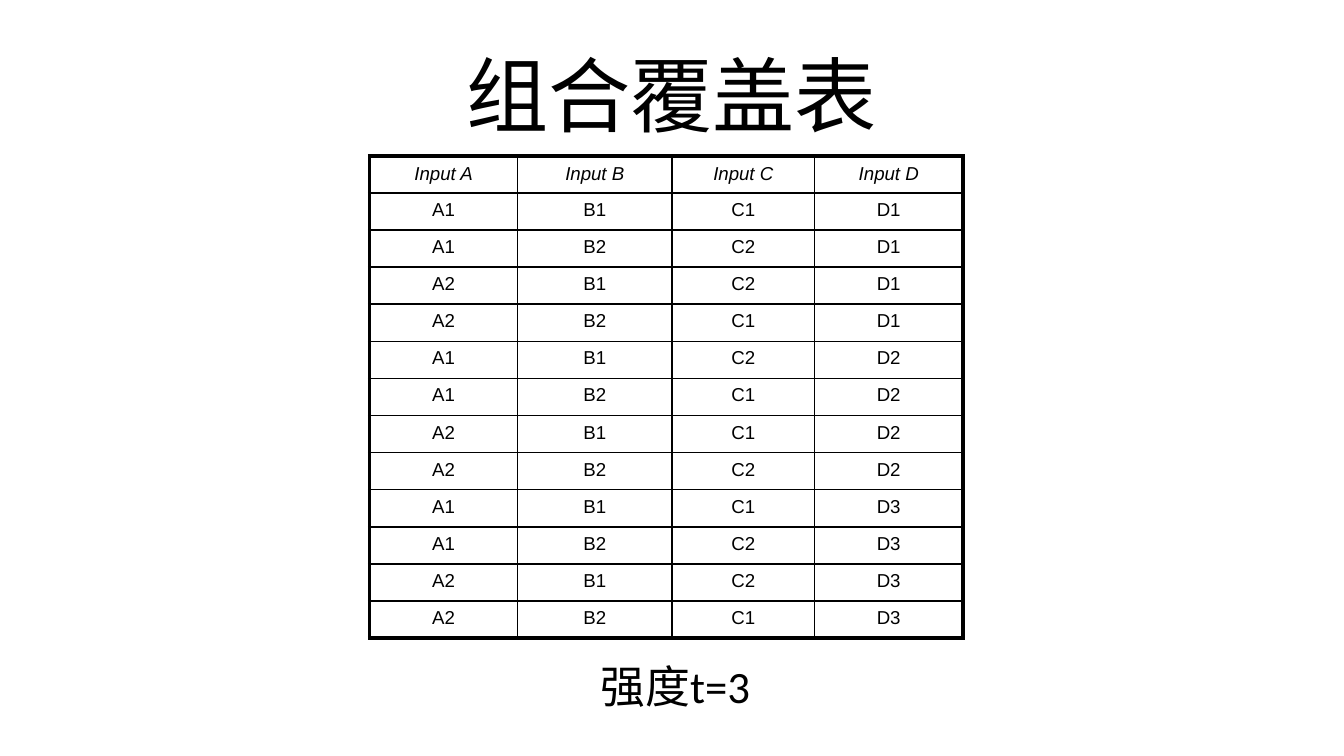
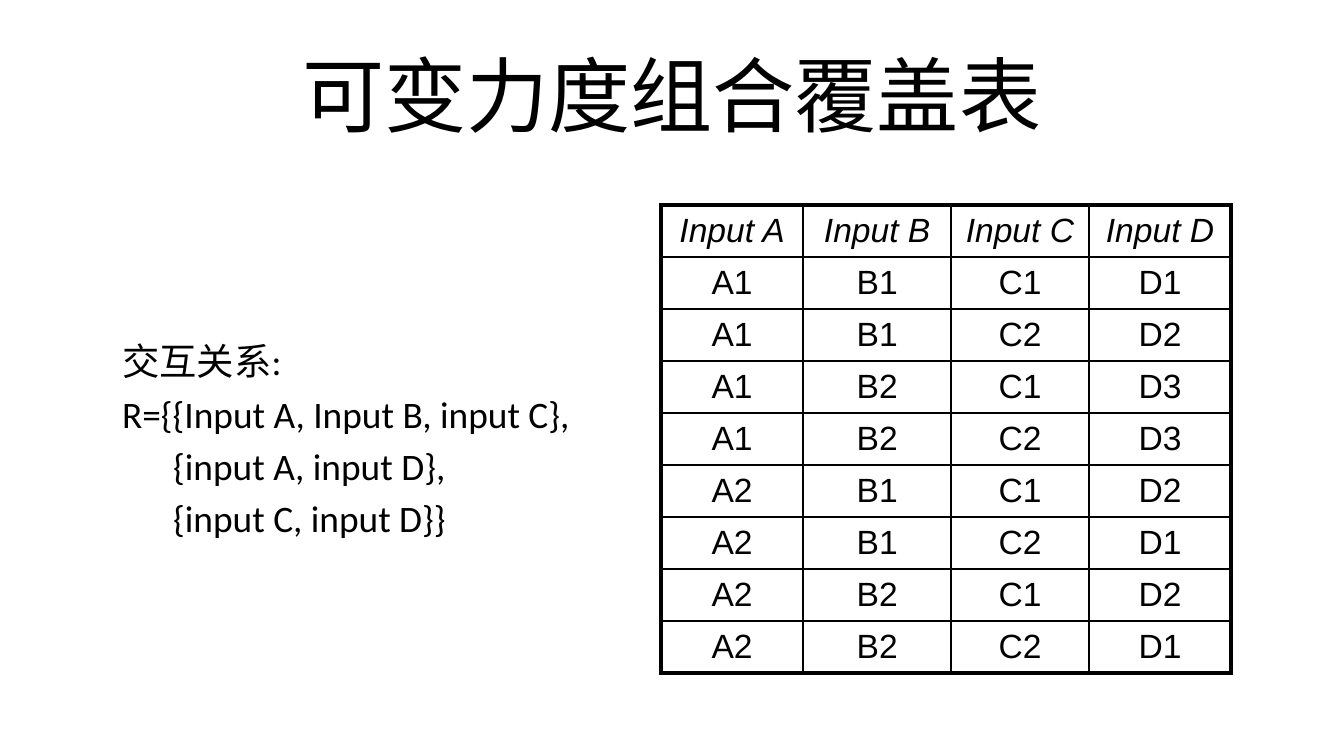
from dataclasses import dataclass

from lxml.etree import SubElement as Sub
from pptx import Presentation
from pptx.dml.color import RGBColor as Rgb
from pptx.enum.text import MSO_ANCHOR as Anchor, MSO_AUTO_SIZE as Fit, PP_ALIGN as Align
from pptx.oxml.ns import qn
from pptx.util import Inches, Pt


@dataclass(frozen=True)
class Theme:
    ink: str = "000000"
    paper: str = "FFFFFF"
    text: str = "Calibri"
    grid: str = "Arial"
    title: int = 44
    note: int = 24
    body: int = 20
    large: int = 18
    small: int = 10
    frame: float = 2.25
    rule: float = 1


class Deck:
    """Places elements on a grid of square units, 100 to the slide's width."""

    def __init__(self, theme):
        self.theme = theme
        self.prs = Presentation()
        self.prs.slide_width = Inches(10)
        self.prs.slide_height = self.prs.slide_width * 9 // 16
        self.unit = self.prs.slide_width / 100

    def span(self, units):
        return round(units * self.unit)

    def add_run(self, para, text, size, font, slant=False):
        run = para.add_run()
        run.text = text
        run.font.size = Pt(size)
        run.font.name = font
        run.font.italic = slant
        run.font.color.rgb = Rgb.from_string(self.theme.ink)

    def page(self, title):
        look = self.theme
        self.slide = self.prs.slides.add_slide(self.prs.slide_layouts[5])
        fill = self.slide.background.fill
        fill.solid()
        fill.fore_color.rgb = Rgb.from_string(look.paper)
        head = self.slide.shapes.title
        head.left, head.top, head.width, head.height = map(self.span, (5, 2.3, 90, 9.4))
        frame = head.text_frame
        frame.vertical_anchor = Anchor.MIDDLE
        para = frame.paragraphs[0]
        para.alignment = Align.CENTER
        self.add_run(para, title, look.title, look.text)

    def text(self, box, lines, size, gap=0, hang=0, grow=False):
        """Add lines as (text, inset) pairs; lines that are not inset hang."""
        shape = self.slide.shapes.add_textbox(*map(self.span, box))
        frame = shape.text_frame
        frame.word_wrap = True
        frame.auto_size = Fit.SHAPE_TO_FIT_TEXT if grow else Fit.NONE
        for i, (line, inset) in enumerate(lines):
            para = frame.add_paragraph() if i else frame.paragraphs[0]
            para.space_before = Pt(gap if i else 0)
            if hang:
                props = para._p.get_or_add_pPr()
                props.set("marL", str(self.span(hang)))
                props.set("indent", str(0 if inset else -self.span(hang)))
            self.add_run(para, line, size, self.theme.text)

    def edge(self, cell, side, width):
        line = Sub(cell._tc.get_or_add_tcPr(), qn(f"a:ln{side}"), w=str(Pt(width)))
        fill = Sub(line, qn("a:solidFill"))
        Sub(fill, qn("a:srgbClr"), val=self.theme.ink)

    def table(self, left, top, cols, row, data, size):
        look = self.theme
        high, wide = len(data), len(cols)
        box = left, top, sum(cols), row * high
        table = self.slide.shapes.add_table(high, wide, *map(self.span, box)).table
        table.first_row = table.horz_banding = False
        for col, width in zip(table.columns, cols):
            col.width = self.span(width)
        for r, values in enumerate(data):
            table.rows[r].height = self.span(row)
            for c, value in enumerate(values):
                cell = table.cell(r, c)
                outer = {"L": c == 0, "R": c == wide - 1, "T": r == 0, "B": r == high - 1}
                for side, rim in outer.items():
                    self.edge(cell, side, look.frame if rim else look.rule)
                cell.fill.background()
                cell.vertical_anchor = Anchor.TOP if r else Anchor.MIDDLE
                para = cell.text_frame.paragraphs[0]
                para.alignment = Align.CENTER
                self.add_run(para, value, size, look.grid, slant=r == 0)


def cover(codes):
    """Turn digit codes such as 1213 into rows A1 B2 C1 D3 under a header."""
    names = "ABCD"
    rows = [[n + d for n, d in zip(names, code)] for code in codes.split()]
    return [[f"Input {n}" for n in names]] + rows


def main():
    theme = Theme()
    deck = Deck(theme)

    deck.page("组合覆盖表")
    deck.text((43.7, 48.5, 13.3, 5), [("强度t=3", False)], theme.note, grow=True)
    triples = cover("1111 1221 2121 2211 1122 1212 2112 2222 1113 1223 2123 2213")
    deck.table(27.5, 11.6, (11, 11.5, 10.6, 11.05), 2.76, triples, theme.small)

    deck.page("可变力度组合覆盖表")
    links = [
        ("交互关系:", False),
        ("R={{Input A, Input B, input C},", False),
        ("{input A, input D},", True),
        ("{input C, input D}}", True),
    ]
    deck.text((8.1, 24.7, 39.2, 15.8), links, theme.body, gap=4, hang=3.8)
    mixed = cover("1111 1122 1213 1223 2112 2121 2212 2221")
    deck.table(49.17, 15.27, (10.6, 11, 10.25, 10.6), 3.87, mixed, theme.large)

    deck.prs.save("out.pptx")


if __name__ == "__main__":
    main()
